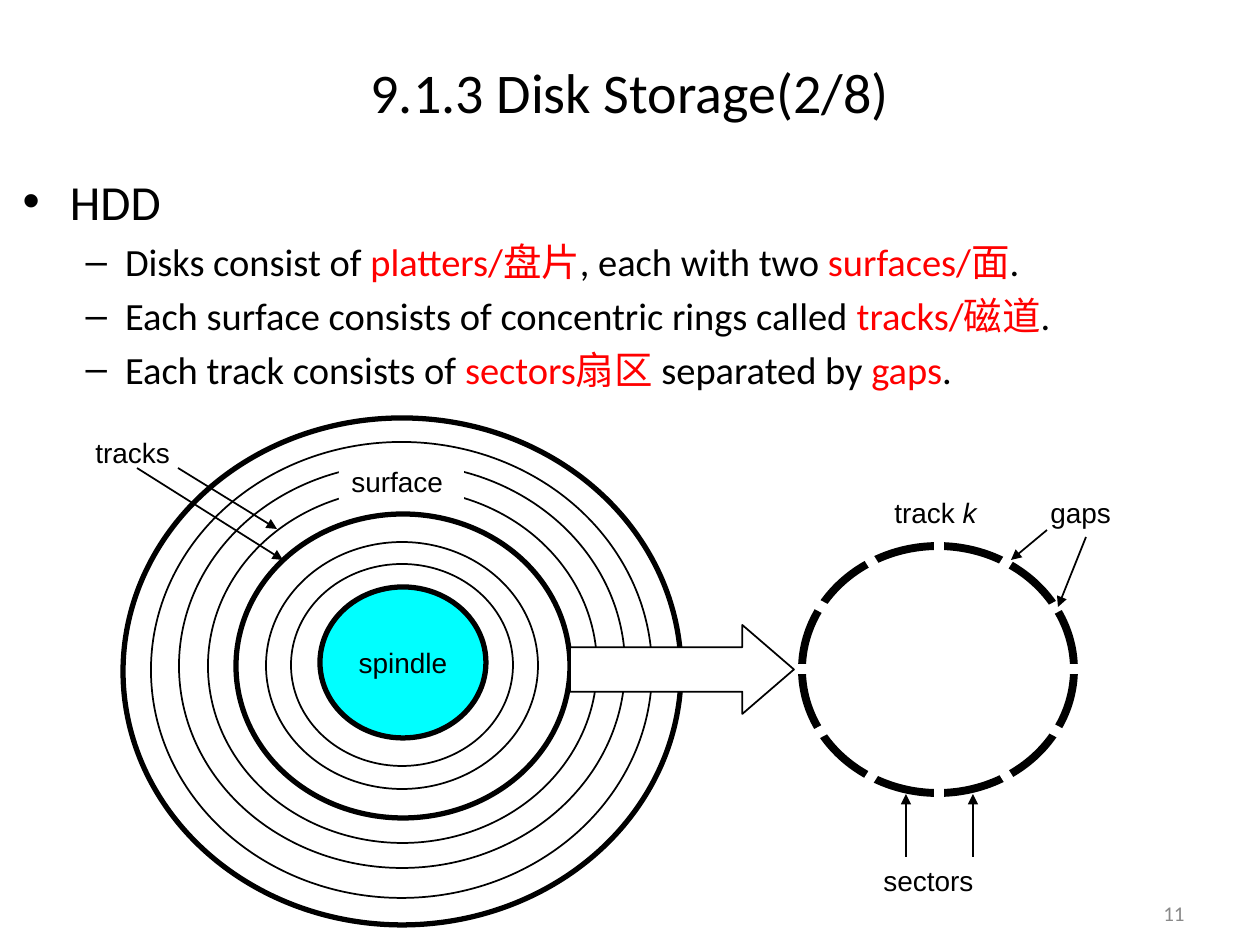
from math import cos, radians, sin

from lxml.etree import SubElement
from pptx import Presentation
from pptx.dml.color import RGBColor
from pptx.enum.shapes import MSO_CONNECTOR, MSO_SHAPE as SHAPE
from pptx.enum.text import MSO_ANCHOR as ANCHOR, MSO_AUTO_SIZE as FIT, PP_ALIGN as ALIGN
from pptx.oxml.ns import qn
from pptx.util import Emu, Pt

EMU_PER_PX = 914400 / 126
COLORS = {"black": "000000", "white": "FFFFFF", "red": "FF0000",
          "cyan": "00FFFF", "grey": "898989"}


def px(n):
    return Emu(round(n * EMU_PER_PX))


def rgb(name):
    return RGBColor.from_string(COLORS[name])


class Deck:
    """Holds the text style and the current slide."""
    text_font = "Calibri"
    label_font = "Arial"
    label_size = 16

    def __init__(self, prs):
        self.slide = prs.slides.add_slide(prs.slide_layouts[1])

    def run(self, p, text, size, font, color="black", italic=None):
        r = p.add_run()
        r.text = text
        r.font.size, r.font.name, r.font.italic = Pt(size), font, italic
        r.font.color.rgb = rgb(color)

    def place(self, sp, x, y, w, h):
        sp.left, sp.top, sp.width, sp.height = px(x), px(y), px(w), px(h)

    def title(self, text, *box):
        sp = self.slide.shapes.title
        self.place(sp, *box)
        tf = sp.text_frame
        tf.vertical_anchor = ANCHOR.MIDDLE
        p = tf.paragraphs[0]
        p.alignment = ALIGN.CENTER
        self.run(p, text, 32, self.text_font)

    def bullets(self, items, *box):
        """Each item is (level, size, runs); each run is (text, color)."""
        sp = self.slide.placeholders[1]
        self.place(sp, *box)
        tf = sp.text_frame
        tf.auto_size = FIT.NONE
        for i, (level, size, runs) in enumerate(items):
            p = tf.add_paragraph() if i else tf.paragraphs[0]
            p.level = level
            for text, color in runs:
                self.run(p, text, size, self.text_font, color)

    def page_number(self, text, *box):
        sp = self.slide.shapes.add_textbox(*map(px, box))
        tf = sp.text_frame
        tf.word_wrap, tf.vertical_anchor = True, ANCHOR.MIDDLE
        p = tf.paragraphs[0]
        p.alignment = ALIGN.RIGHT
        self.run(p, text, 12, self.text_font, "grey")

    def label(self, text, *box, italic=""):
        sp = self.slide.shapes.add_textbox(*map(px, box))
        tf = sp.text_frame
        tf.word_wrap = True
        p = tf.paragraphs[0]
        self.run(p, text, self.label_size, self.label_font)
        if italic:
            self.run(p, italic, self.label_size, self.label_font, italic=True)
        return sp

    def shape(self, kind, *box, fill=None, width=1, text=""):
        sp = self.slide.shapes.add_shape(kind, *map(px, box))
        sp.shadow.inherit = False
        if fill:
            sp.fill.solid()
            sp.fill.fore_color.rgb = rgb(fill)
        else:
            sp.fill.background()
        sp.line.color.rgb, sp.line.width = rgb("black"), Pt(width)
        if text:
            tf = sp.text_frame
            tf.word_wrap, tf.vertical_anchor = False, ANCHOR.MIDDLE
            p = tf.paragraphs[0]
            p.alignment = ALIGN.CENTER
            self.run(p, text, self.label_size, self.label_font)
        return sp

    def line(self, *ends, color="black", width=1, arrow=False):
        cx = self.slide.shapes.add_connector(MSO_CONNECTOR.STRAIGHT, *map(px, ends))
        cx.line.color.rgb, cx.line.width = rgb(color), Pt(width)
        if arrow:
            SubElement(cx.line._get_or_add_ln(), qn("a:tailEnd"), type="triangle")
        SubElement(cx._element.spPr, qn("a:effectLst"))


def draw_surface(deck):
    rings = [(266, 542, 272, 247, 1), (123, 418, 558, 507, 3), (151, 442, 501, 456, 1),
             (179, 464, 446, 404, 1), (208, 489, 389, 354, 1), (236, 514, 334, 304, 3),
             (291, 564, 222, 202, 1)]
    for *box, width in rings:
        deck.shape(SHAPE.OVAL, *box, width=width)
    deck.shape(SHAPE.OVAL, 320, 587, 166, 151, fill="cyan", width=3, text="spindle")
    surface = deck.label("surface", 339, 458, 125, 46)
    surface.fill.solid()
    surface.fill.fore_color.rgb = rgb("white")
    deck.line(137, 468, 283, 560, arrow=True)
    deck.line(178, 468, 277, 529, arrow=True)
    deck.label("tracks", 83, 429, 107, 46)


def draw_track(deck):
    """A ring cut into twelve sectors by white spokes."""
    deck.shape(SHAPE.OVAL, 802, 546, 272, 247, width=4.5)
    deck.label("track ", 882, 489, 116, 46, italic="k")
    cx, cy, rx, ry = 939, 669, 157, 144
    for angle in range(0, 360, 30):
        a = radians(angle)
        deck.line(cx, cy, cx + rx * cos(a), cy + ry * sin(a), color="white", width=6)
    deck.label("sectors", 871, 857, 123, 46)
    for x in (906, 973):
        deck.line(x, 857, x, 794, arrow=True)
    arrow = deck.shape(SHAPE.RIGHT_ARROW, 570, 625, 224, 89, fill="white")
    arrow.adjustments[0], arrow.adjustments[1] = 0.5, 0.58
    deck.label("gaps", 1038, 489, 92, 46)
    deck.line(1047, 530, 1011, 560, arrow=True)
    deck.line(1086, 537, 1058, 607, arrow=True)


def main():
    prs = Presentation()
    prs.slide_width, prs.slide_height = px(1260), px(945)
    deck = Deck(prs)
    deck.title("9.1.3 Disk Storage(2/8)", 0, 38, 1260, 107)
    deck.bullets([
        (0, 28, [("HDD", "black")]),
        (1, 22, [("Disks consist of ", "black"), ("platters/盘片", "red"),
                 (", each with two ", "black"), ("surfaces/面", "red"), (".", "black")]),
        (1, 22, [("Each surface consists of concentric rings called ", "black"),
                 ("tracks/磁道", "red"), (".", "black")]),
        (1, 22, [("Each track consists of ", "black"), ("sectors扇区 ", "red"),
                 ("separated by ", "black"), ("gaps", "red"), (".", "black")]),
    ], 10, 165, 1235, 669)
    deck.page_number("11", 903, 888, 294, 50)
    draw_surface(deck)
    draw_track(deck)
    prs.save("out.pptx")


if __name__ == "__main__":
    main()
